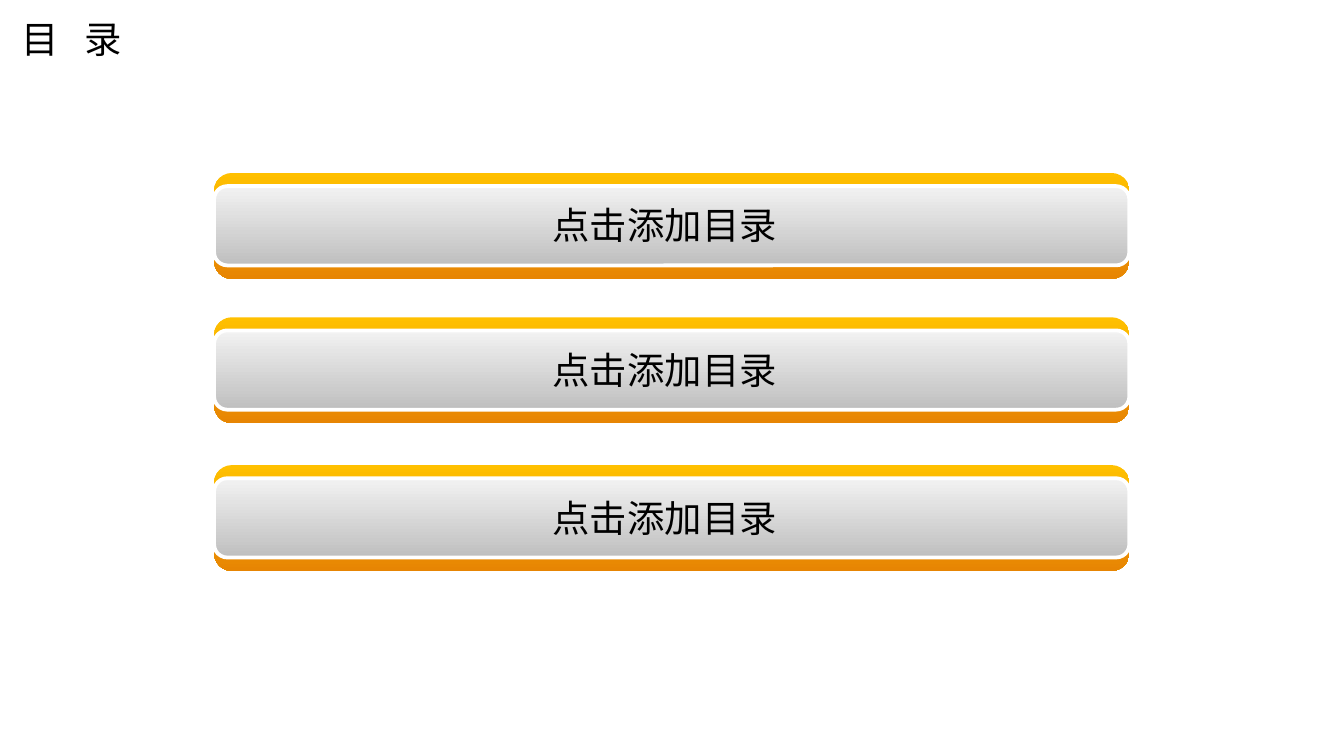
from lxml import etree
from pptx import Presentation
from pptx.dml.color import RGBColor
from pptx.enum.shapes import MSO_SHAPE as Shape
from pptx.enum.text import MSO_ANCHOR as Anchor, MSO_AUTO_SIZE as AutoSize, PP_ALIGN as Align
from pptx.oxml.ns import qn
from pptx.util import Pt

BLACK = RGBColor(0x00, 0x00, 0x00)
WHITE = RGBColor(0xFF, 0xFF, 0xFF)
GOLD = RGBColor(0xFF, 0xC0, 0x00)
ORANGE = RGBColor(0xE7, 0x85, 0x03)
LIGHT_GREY = RGBColor(0xF2, 0xF2, 0xF2)
MID_GREY = RGBColor(0xBF, 0xBF, 0xBF)
FONT = "Noto Sans CJK SC"


def write_text(shape, text, alignment):
    frame = shape.text_frame
    frame.word_wrap = True
    frame.auto_size = AutoSize.NONE
    frame.vertical_anchor = Anchor.TOP
    paragraph = frame.paragraphs[0]
    run = paragraph.add_run()
    run.text = text
    paragraph.alignment = alignment
    paragraph.font.size = Pt(20)
    paragraph.font.name = FONT
    paragraph.font.color.rgb = BLACK
    # Chinese characters take the East Asian typeface
    properties = run._r.get_or_add_rPr()
    etree.SubElement(properties, qn("a:ea"), typeface=FONT)
    return properties


def add_bar(shapes, top, height, top_color, bottom_color):
    bar = shapes.add_shape(Shape.ROUNDED_RECTANGLE, Pt(114.7), Pt(top), Pt(490.3), Pt(height))
    bar.shadow.inherit = False
    bar.adjustments[0] = 0.167
    bar.fill.gradient()
    bar.fill.gradient_angle = 270
    for stop, color in zip(bar.fill.gradient_stops, (top_color, bottom_color)):
        stop.color.rgb = color
    bar.line.fill.background()
    return bar


presentation = Presentation()
presentation.slide_width = Pt(720)
presentation.slide_height = Pt(405)
slide = presentation.slides.add_slide(presentation.slide_layouts[5])

# Title, with its two characters spaced apart
title = slide.shapes.title
title.left, title.top, title.width, title.height = Pt(4.3), Pt(5), Pt(90), Pt(31.5)
write_text(title, "目 录", Align.LEFT).set("spc", "460")

# Contents buttons: orange back, grey face, label
for top in (92.7, 170, 249.2):
    button = slide.shapes.add_group_shape()
    add_bar(button.shapes, top, 56.7, GOLD, ORANGE)
    face = add_bar(button.shapes, top + 7, 42.5, LIGHT_GREY, MID_GREY)
    face.line.color.rgb = WHITE
    face.line.width = Pt(2)
    label = slide.shapes.add_textbox(Pt(286.6), Pt(top + 12.3), Pt(139), Pt(31.5))
    write_text(label, "点击添加目录", Align.CENTER)

presentation.save("out.pptx")
